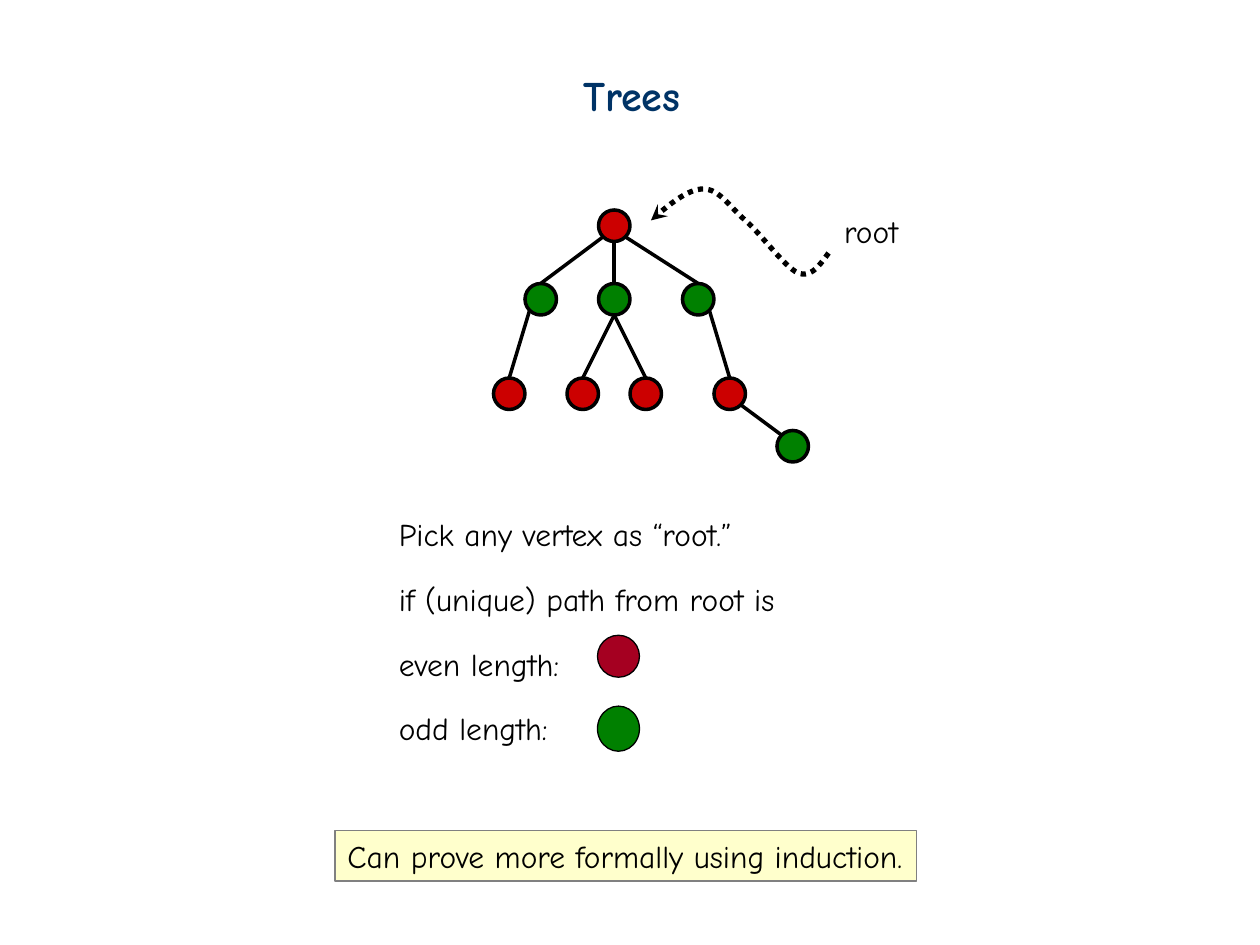
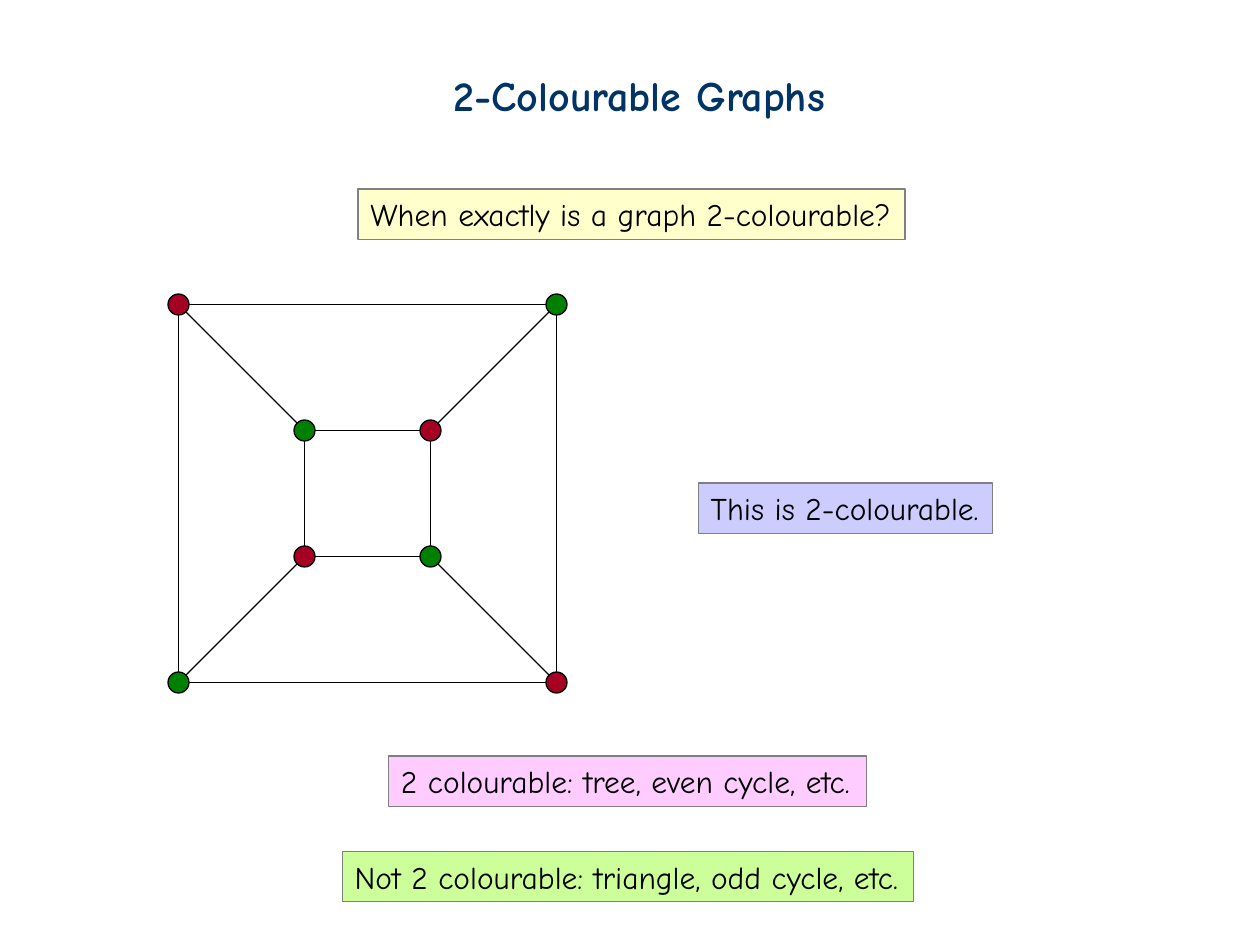
"""Two slides on two-colouring trees and graphs."""
from math import sqrt

from lxml import etree
from pptx import Presentation
from pptx import util as u
from pptx.dml.color import RGBColor
from pptx.enum import dml, shapes, text
from pptx.oxml.ns import qn

WIDTH, HEIGHT = u.Inches(10), u.Inches(7.5)
COLS = 120
CELL = WIDTH // COLS
FONT = "Comic Neue"
COLOURS = {
    "title": "003366", "ink": "000000", "border": "808080",
    "red": "CC0000", "wine": "A50021", "green": "008000",
    "yellow": "FFFFCC", "blue": "CCCCFF", "pink": "FFCCFF", "lime": "CCFF99",
}
DIAG = 1 / sqrt(2)
RIM = {"n": (0, -1), "nw": (-DIAG, -DIAG), "s": (0, 1),
       "sw": (-DIAG, DIAG), "se": (DIAG, DIAG)}
NODE = 3

TREE = {
    "root": (58.5, 21.5, "red"),
    "left": (51.5, 28.5, "green"),
    "middle": (58.5, 28.5, "green"),
    "right": (66.5, 28.5, "green"),
    "left leaf": (48.5, 37.5, "red"),
    "middle leaf 1": (55.5, 37.5, "red"),
    "middle leaf 2": (61.5, 37.5, "red"),
    "right child": (69.5, 37.5, "red"),
    "right leaf": (75.5, 42.5, "green"),
}
EDGES = [
    ("root", "sw", "left", "n"),
    ("root", "s", "middle", "n"),
    ("root", "se", "right", "n"),
    ("left", "sw", "left leaf", "n"),
    ("middle", "s", "middle leaf 1", "n"),
    ("middle", "s", "middle leaf 2", "n"),
    ("right", "se", "right child", "n"),
    ("right child", "se", "right leaf", "nw"),
]
POINTER = [
    (62, 21), (63.7, 19.5), (65.5, 18), (67, 18),
    (68.5, 18), (69.5, 19.7), (71, 21),
    (72.5, 22.3), (74.7, 25.4), (76, 26),
    (77.3, 26.5), (78.1, 25.2), (79, 24),
]


def cells(*values):
    """Turn grid cells into slide lengths."""
    return [u.Emu(round(v * CELL)) for v in values]


def rgb(name):
    """Look up a named colour."""
    return RGBColor.from_string(COLOURS[name])


def outline(line, colour, points):
    """Set the colour and width of a line."""
    line.color.rgb = rgb(colour)
    line.width = u.Pt(points)


def add_text(s, lines, left, top, width, height=4.8, size=18, colour="ink",
             bold=False, wrap=False):
    """Add a text box with one paragraph per line."""
    sp = s.shapes.add_textbox(*cells(left, top, width, height))
    tf = sp.text_frame
    tf.word_wrap = wrap
    for i, line in enumerate(lines):
        p = tf.add_paragraph() if i else tf.paragraphs[0]
        if i:
            p.space_before = u.Pt(4.5)
            p.line_spacing = 1.5
        r = p.add_run()
        r.text = line
        r.font.name, r.font.size, r.font.bold = FONT, u.Pt(size), bold
        r.font.color.rgb = rgb(colour)
    if not wrap:
        tf.auto_size = text.MSO_AUTO_SIZE.SHAPE_TO_FIT_TEXT
    return sp


def add_title(s, title, left, width):
    """Add the slide title."""
    add_text(s, [title], left, 6, width, 6, 24, "title", True)


def add_label(s, line, fill, left, top, width):
    """Add a filled and bordered one-line label."""
    sp = add_text(s, [line], left, top, width)
    sp.fill.solid()
    sp.fill.fore_color.rgb = rgb(fill)
    outline(sp.line, "border", 0.75)


def add_dot(s, x, y, colour, width, height=None, weight=0.75):
    """Add a filled ellipse centred on a point."""
    height = height or width
    sp = s.shapes.add_shape(shapes.MSO_SHAPE.OVAL, *cells(
        x - width / 2, y - height / 2, width, height))
    sp.shadow.inherit = False
    sp.fill.solid()
    sp.fill.fore_color.rgb = rgb(colour)
    outline(sp.line, "ink", weight)
    return sp


def add_edge(s, start, end, weight=0.75):
    """Add a straight line between two points."""
    c = s.shapes.add_connector(shapes.MSO_CONNECTOR.STRAIGHT, *cells(*start, *end))
    outline(c.line, "ink", weight)
    etree.SubElement(c._element.spPr, qn("a:effectLst"))
    return c


def rim_point(name, side):
    """Find a point on the rim of a tree node."""
    x, y, _ = TREE[name]
    dx, dy = RIM[side]
    return x + dx * NODE / 2, y + dy * NODE / 2


def add_tree(s):
    """Draw the tree, joining edges to the tops of the nodes."""
    nodes = {name: add_dot(s, *place, NODE, weight=2) for name, place in TREE.items()}
    for parent, out, child, into in EDGES:
        c = add_edge(s, rim_point(parent, out), rim_point(child, into), 2)
        if into == "n":
            c.end_connect(nodes[child], 0)


def bezier_points(controls, steps=16):
    """Sample a chain of cubic curves."""
    points = [controls[0]]
    for i in range(0, len(controls) - 1, 3):
        curve = controls[i:i + 4]
        for k in range(1, steps + 1):
            t = k / steps
            weights = ((1 - t) ** 3, 3 * t * (1 - t) ** 2, 3 * t * t * (1 - t), t ** 3)
            points.append(tuple(sum(w * pt[axis] for w, pt in zip(weights, curve))
                                for axis in (0, 1)))
    return points


def add_pointer(s):
    """Draw the dotted wavy arrow to the root."""
    start, *rest = [cells(*pt) for pt in bezier_points(POINTER)]
    builder = s.shapes.build_freeform(*start)
    builder.add_line_segments(rest, close=False)
    sp = builder.convert_to_shape()
    sp.shadow.inherit = False
    sp.fill.background()
    outline(sp.line, "ink", 3)
    sp.line.dash_style = dml.MSO_LINE.ROUND_DOT
    etree.SubElement(sp.line._get_or_add_ln(), qn("a:headEnd"), type="stealth")


def add_cube(s, x=35, y=47, outer=18, inner=6):
    """Draw two nested squares joined at their corners, coloured alternately."""
    corners = [(-1, -1), (1, -1), (1, 1), (-1, 1)]
    rings = [[(x + dx * half, y + dy * half) for dx, dy in corners]
             for half in (outer, inner)]
    for ring in rings:
        for i, point in enumerate(ring):
            add_edge(s, point, ring[(i + 1) % 4])
    for ends in zip(*rings):
        add_edge(s, *ends)
    for depth, ring in enumerate(rings):
        for i, point in enumerate(ring):
            add_dot(s, *point, ("wine", "green")[(depth + i) % 2], 2)


def trees_slide(s):
    """Build the slide on trees."""
    add_title(s, "Trees", 54.4, 11.8)
    add_text(s, ["Pick any vertex as “root.”", "if (unique) path from root is",
                 "even length:", "odd length:"], 36.8, 48.5, 45, 27, wrap=True)
    add_text(s, ["root"], 79.2, 19.6, 7.6)
    add_pointer(s)
    add_tree(s)
    add_dot(s, 58.9, 62.5, "wine", 4)
    add_dot(s, 58.9, 69.4, "green", 4, 4.3)
    add_label(s, "Can prove more formally using induction.", "yellow", 31.9, 79.1, 55.4)


def graphs_slide(s):
    """Build the slide on 2-colourable graphs."""
    add_title(s, "2-Colourable Graphs", 42, 38)
    add_label(s, "When exactly is a graph 2-colourable?", "yellow", 34.1, 18, 52.1)
    add_cube(s)
    add_label(s, "This is 2-colourable.", "blue", 66.5, 46, 28)
    add_label(s, "2 colourable: tree, even cycle, etc.", "pink", 37, 72, 45.5)
    add_label(s, "Not 2 colourable: triangle, odd cycle, etc.", "lime", 32.6, 81.1, 54.4)


def main():
    """Build and save the presentation."""
    prs = Presentation()
    prs.slide_width, prs.slide_height = WIDTH, HEIGHT
    for build in (trees_slide, graphs_slide):
        build(prs.slides.add_slide(prs.slide_layouts[6]))
    prs.save("out.pptx")


if __name__ == "__main__":
    main()
